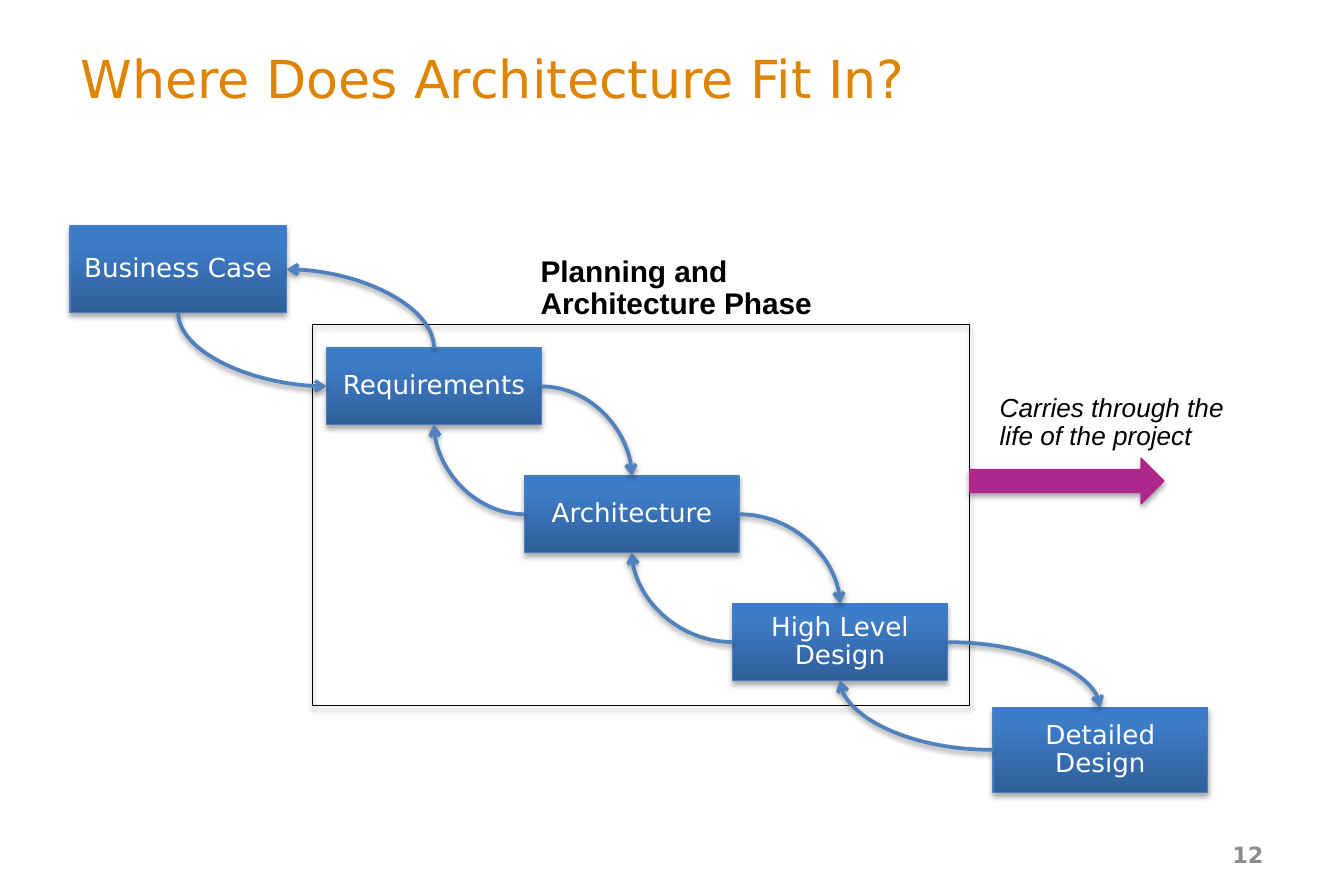
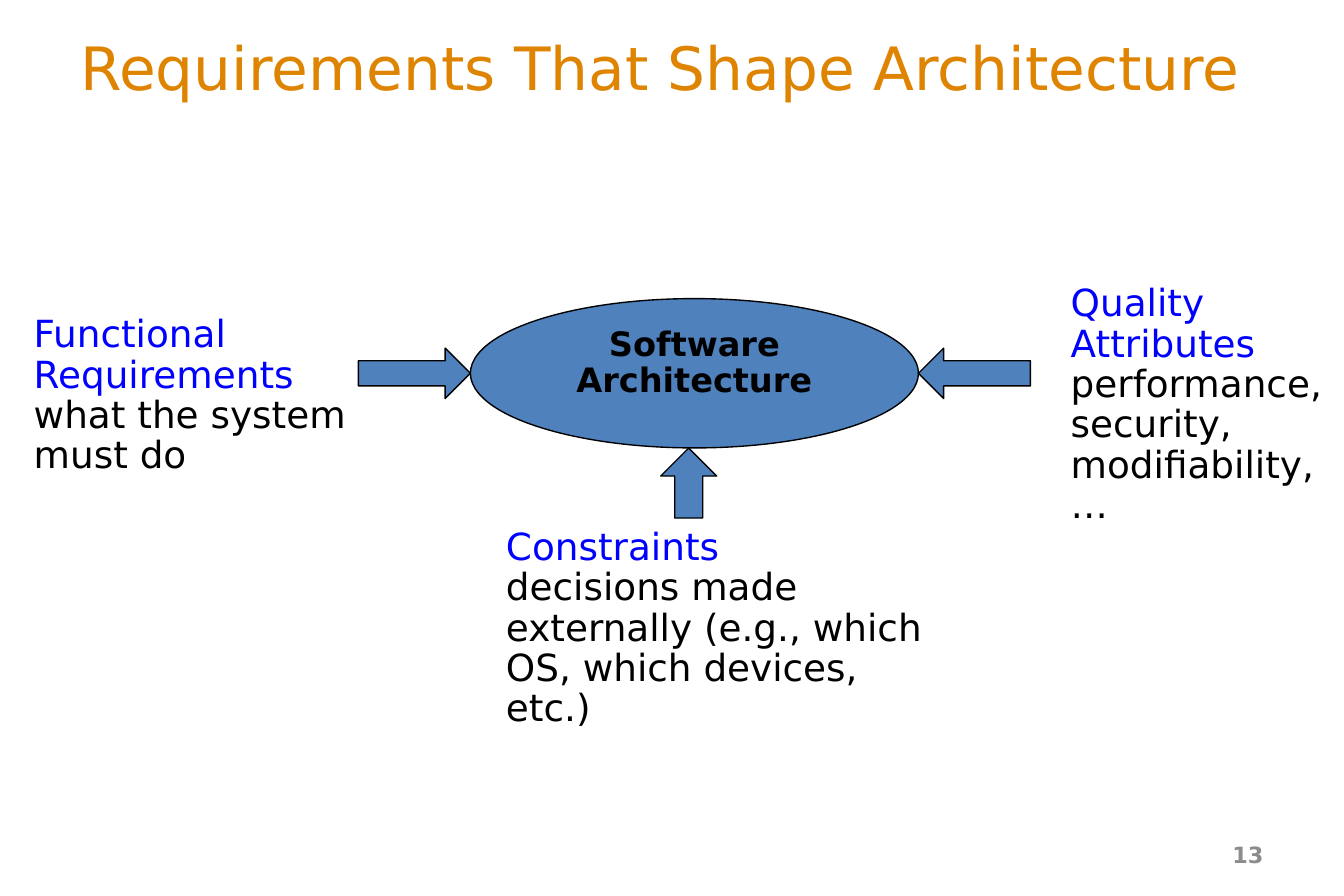
from copy import deepcopy

from pptx import Presentation
from pptx.dml.color import RGBColor
from pptx.enum.shapes import MSO_CONNECTOR, MSO_SHAPE
from pptx.enum.text import MSO_ANCHOR, PP_ALIGN
from pptx.oxml.ns import qn
from pptx.util import Pt
from lxml.etree import SubElement

COLORS = {
    "title": "DE8400", "number": "8C8C8C", "text": "000000", "white": "FFFFFF",
    "term": "0000FF", "blue": "4F81BD", "edge": "4B7EBC", "magenta": "AD278D",
}
GRADIENT = [(0, "2F5F99"), (0.8, "3D7CC7"), (1, "3A7CCB")]
SANS, ARIAL = "DejaVu Sans", "Arial"
TOP, LEFT, BOTTOM, RIGHT = range(4)


def rgb(name):
    return RGBColor.from_string(COLORS[name])


def write(sp, lines, color="text", align=PP_ALIGN.LEFT, anchor=MSO_ANCHOR.TOP,
          spacing=0.9, **font):
    tf = sp.text_frame
    tf.word_wrap = True
    tf.vertical_anchor = anchor
    for i, line in enumerate(lines):
        text, shade = line if isinstance(line, tuple) else (line, color)
        p = tf.paragraphs[0] if i == 0 else tf.add_paragraph()
        p.alignment, p.line_spacing = align, spacing
        r = p.add_run()
        r.text = text
        r.font.color.rgb = rgb(shade)
        for key, value in {"name": SANS, **font}.items():
            setattr(r.font, key, value)


def add_text(s, box, lines, **fmt):
    sp = s.shapes.add_textbox(*map(Pt, box))
    write(sp, lines, **fmt)
    return sp


def add_shadow(effects, alpha, dist):
    shadow = SubElement(effects, qn("a:outerShdw"), {
        "blurRad": str(Pt(3.1)), "dist": str(Pt(dist)), "dir": "5400000", "rotWithShape": "0"})
    clr = SubElement(shadow, qn("a:srgbClr"), val=COLORS["text"])
    SubElement(clr, qn("a:alpha"), val=str(alpha * 1000))


def add_shape(s, kind, box, fill=None, line="text", shadow=False):
    sp = s.shapes.add_shape(kind, *map(Pt, box))
    if fill:
        sp.fill.solid()
        sp.fill.fore_color.rgb = rgb(fill)
    else:
        sp.fill.background()
    sp.line.color.rgb = rgb(line)
    sp.line.width = Pt(0.75)
    sp.shadow.inherit = False
    if shadow:
        add_shadow(sp._element.spPr.find(qn("a:effectLst")), 35, 1.8)
    return sp


def add_step(s, box, label):
    sp = add_shape(s, MSO_SHAPE.RECTANGLE, box, line="edge", shadow=True)
    sp.fill.gradient()
    sp.fill.gradient_angle = 90
    stops = sp._element.spPr.find(".//" + qn("a:gsLst"))
    stops.append(deepcopy(stops[0]))
    for stop, (position, color) in zip(sp.fill.gradient_stops, GRADIENT):
        stop.position = position
        stop.color.rgb = RGBColor.from_string(color)
    write(sp, [label], color="white", align=PP_ALIGN.CENTER,
          anchor=MSO_ANCHOR.MIDDLE, size=Pt(14))
    return sp


def add_curve(s, start, start_site, end, end_site, arrow):
    c = s.shapes.add_connector(MSO_CONNECTOR.CURVE, 0, 0, 0, 0)
    c.begin_connect(start, start_site)
    c.end_connect(end, end_site)
    c.line.color.rgb = rgb("blue")
    c.line.width = Pt(2)
    spPr = c._element.spPr
    spPr.find(qn("a:prstGeom")).set("prst", "curvedConnector2")
    SubElement(spPr.find(qn("a:ln")), qn(arrow), type="arrow")
    add_shadow(SubElement(spPr, qn("a:effectLst")), 38, 1.6)


def add_frame(s, title, title_box, title_size, number):
    add_text(s, title_box, [title], color="title", anchor=MSO_ANCHOR.MIDDLE,
             spacing=1, size=Pt(title_size))
    add_text(s, (516, 445, 168, 26), [str(number)], color="number", align=PP_ALIGN.RIGHT,
             anchor=MSO_ANCHOR.MIDDLE, spacing=1, size=Pt(12), bold=True)


def add_phases(s, box):
    x, y, w, h = box
    add_shape(s, MSO_SHAPE.RECTANGLE, box, shadow=True)
    places = [
        ("Business Case", -130, -53, 116, 46.5),
        ("Requirements", 7.5, 12.5, 115, 41),
        ("Architecture", 113.5, 81, 115, 41),
        ("High Level Design", 225, 149.5, 115, 41),
        ("Detailed Design", 364.5, 205, 115, 45.5),
    ]
    steps = [add_step(s, (x + dx, y + dy, sw, sh), label)
             for label, dx, dy, sw, sh in places]
    add_shape(s, MSO_SHAPE.RIGHT_ARROW, (x + w, y + h / 2 - 30.5, 104, 24.5),
              fill="magenta", line="magenta", shadow=True)
    for i, (upper, lower) in enumerate(zip(steps, steps[1:])):
        arrow = "a:tailEnd" if i else "a:headEnd"
        add_curve(s, upper, RIGHT, lower, TOP, arrow)
        add_curve(s, lower, LEFT, upper, BOTTOM, arrow)
    add_text(s, (x + 115, y - 40, 181, 42.5), ["Planning and Architecture Phase"],
             name=ARIAL, size=Pt(16), bold=True)
    add_text(s, (x + w + 9, y + 34, 149, 38), ["Carries through the life of the project"],
             name=ARIAL, size=Pt(14), italic=True)


def add_influences(s, box):
    x, y, w, h = box
    sp = add_shape(s, MSO_SHAPE.OVAL, box, fill="blue")
    write(sp, ["Software Architecture"], align=PP_ALIGN.CENTER, size=Pt(18), bold=True)
    aw, ah = 60, 27
    side_y = y + (h - ah) / 2
    arrows = [
        (MSO_SHAPE.RIGHT_ARROW, (x - aw, side_y, aw, ah)),
        (MSO_SHAPE.LEFT_ARROW, (x + w, side_y, aw, ah)),
        (MSO_SHAPE.UP_ARROW, (x + w / 2 - 18, y + h, 30, 37.5)),
    ]
    for kind, place in arrows:
        add_shape(s, kind, place, fill="blue")
    notes = [
        ((x + 12, y + 119.5, 252, 117), "Constraints",
         ["decisions made externally (e.g., which OS, which devices, etc.)"]),
        ((x + 314.5, y - 11, 153.5, 138), "Quality Attributes",
         ["performance,", "security,", "modifiability,", "…"]),
        ((x - 241, y + 5.5, 186, 95), "Functional Requirements", ["what the system must do"]),
    ]
    for place, term, lines in notes:
        add_text(s, place, [(term, "term"), *lines], size=Pt(20))


def main():
    prs = Presentation()
    prs.slide_width, prs.slide_height = Pt(720), Pt(480)
    slides = [
        ("Where Does Architecture Fit In?", (36, 17.5, 675, 48), 28,
         add_phases, (167.5, 174, 352, 204)),
        ("Requirements That Shape Architecture", (36, 19.5, 648, 32), 32,
         add_influences, (252, 160, 240, 80)),
    ]
    for number, (title, title_box, size, add_body, box) in enumerate(slides, 12):
        s = prs.slides.add_slide(prs.slide_layouts[6])
        add_frame(s, title, title_box, size, number)
        add_body(s, box)
    prs.save("out.pptx")


if __name__ == "__main__":
    main()
